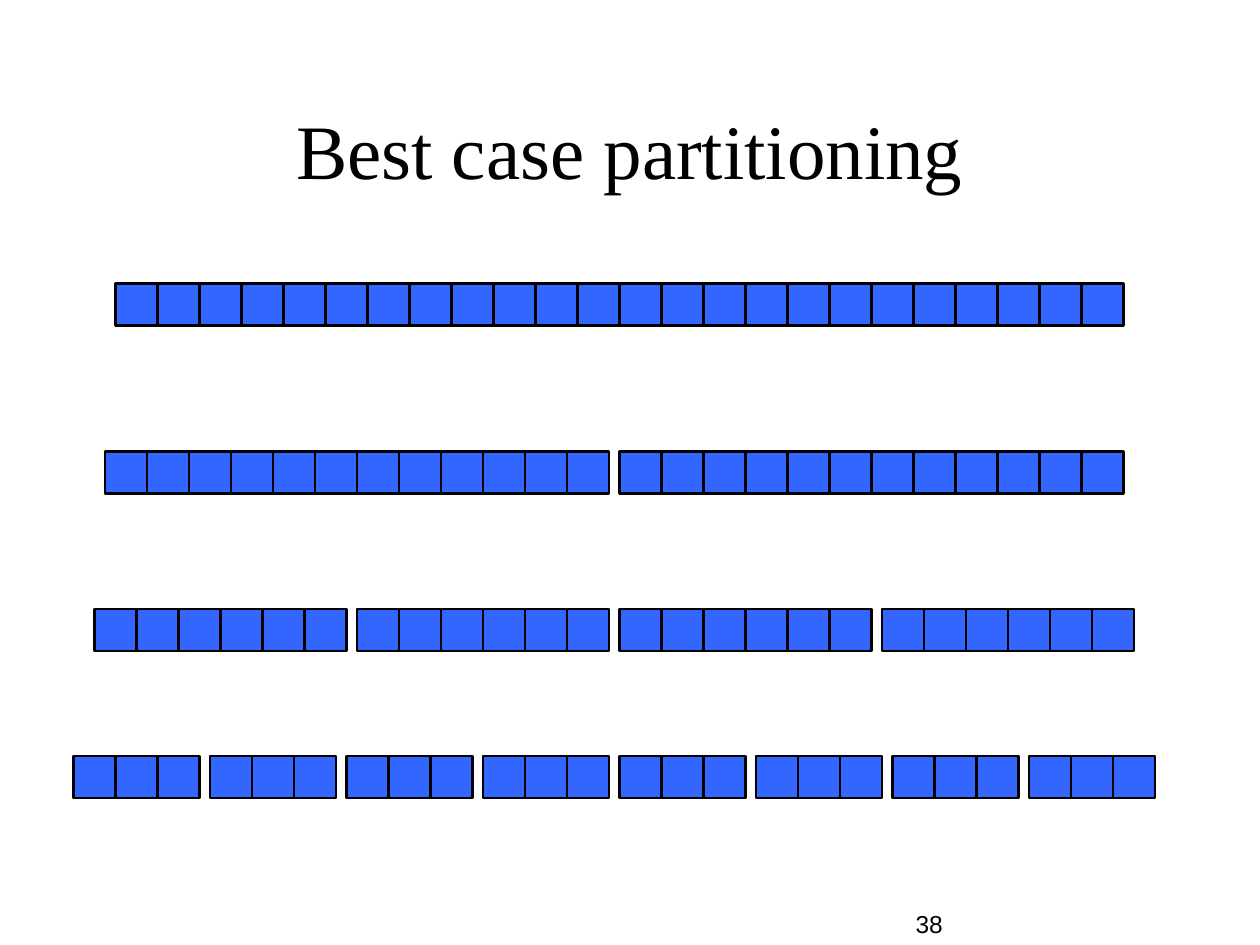
from pptx import Presentation
from pptx import util as u
from pptx.dml.color import RGBColor
from pptx.enum import shapes, text

# Content: text, box (left, top, width, height), font, size, anchor
TEXTS = [
    ("38", (474, 516, 114, 24), "Arial", 14, text.MSO_ANCHOR.TOP),
    ("Best case partitioning", (36, 43.2, 648, 84), "Times New Roman", 44,
     text.MSO_ANCHOR.MIDDLE),
]

# Each level of the recursion: left, top, number of partitions
LEVELS = [(66, 162, 1), (60, 258, 2), (54, 348, 4), (42, 432, 8)]
ELEMENTS = 24
CELL = 24
GAP = 6
BLUE, BLACK = "3366FF", "000000"


def color(value):
    return RGBColor.from_string(value)


def add_text(slide, content, box, font, size, anchor):
    shape = slide.shapes.add_textbox(*map(u.Pt, box))
    frame = shape.text_frame
    frame.word_wrap = True
    frame.vertical_anchor = anchor
    paragraph = frame.paragraphs[0]
    paragraph.text = content
    paragraph.alignment = text.PP_ALIGN.CENTER
    paragraph.font.name = font
    paragraph.font.size = u.Pt(size)
    paragraph.font.color.rgb = color(BLACK)


def add_level(slide, left, top, partitions):
    group = slide.shapes.add_group_shape()
    partition_size = ELEMENTS // partitions
    for index in range(ELEMENTS):
        x = left + index * CELL + index // partition_size * GAP
        cell = group.shapes.add_shape(
            shapes.MSO_SHAPE.RECTANGLE,
            u.Pt(x), u.Pt(top), u.Pt(CELL), u.Pt(CELL))
        cell.shadow.inherit = False
        cell.fill.solid()
        cell.fill.fore_color.rgb = color(BLUE)
        cell.line.color.rgb = color(BLACK)
        cell.line.width = u.Pt(1.25)


def main():
    presentation = Presentation()
    presentation.slide_width = u.Pt(720)
    presentation.slide_height = u.Pt(540)
    slide = presentation.slides.add_slide(presentation.slide_layouts[6])

    # Page number and title
    for item in TEXTS:
        add_text(slide, *item)

    # Rows of array cells
    for level in LEVELS:
        add_level(slide, *level)

    presentation.save("out.pptx")


if __name__ == "__main__":
    main()
